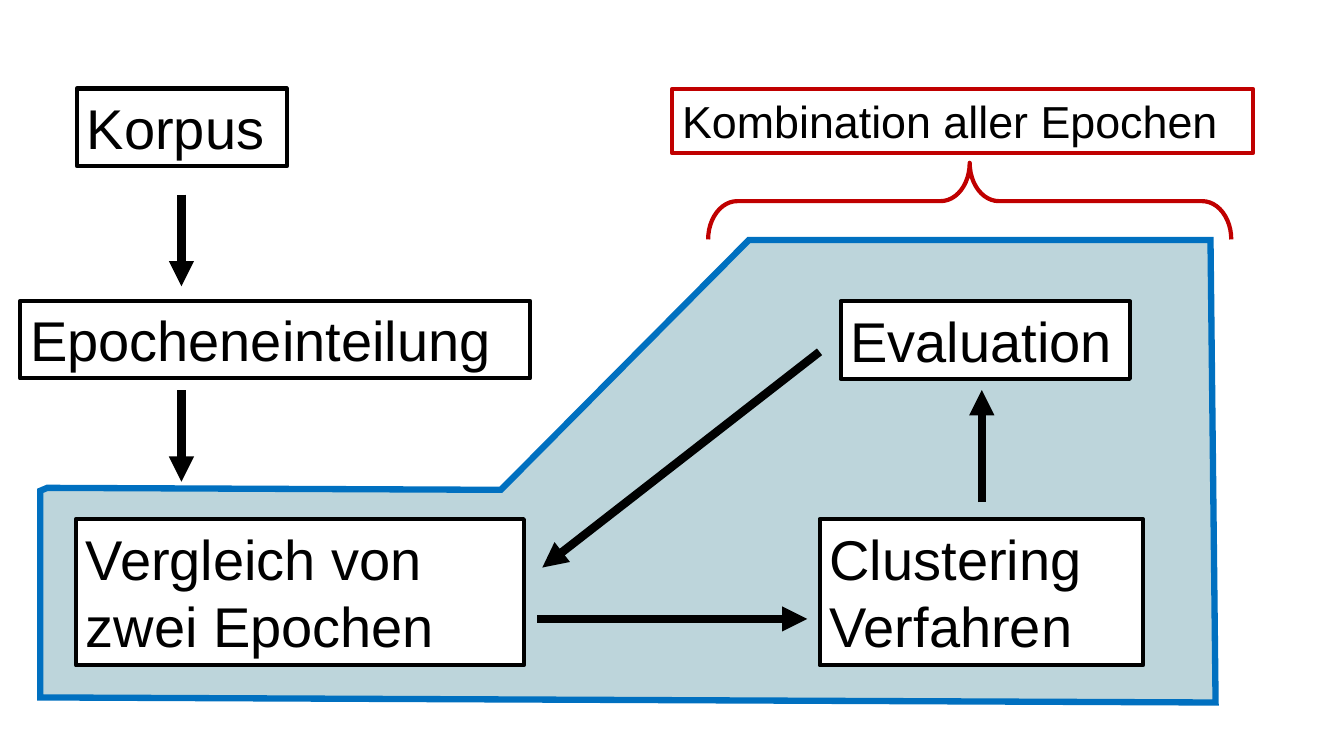
import pptx
import pptx.dml.color
import pptx.enum.shapes
import pptx.enum.text
import pptx.oxml.ns
import pptx.oxml.xmlchemy
import pptx.util
import lxml.etree

Pt = pptx.util.Pt
COLORS = {"ink": "000000", "paper": "FFFFFF", "cycle": "BDD5DB",
          "cycle_edge": "0070C0", "accent": "C00000"}


def rgb(name):
    return pptx.dml.color.RGBColor.from_string(COLORS[name])


def add_xml(parent, tag, **attributes):
    return lxml.etree.SubElement(parent, pptx.oxml.ns.qn(tag), attributes)


def write_text(frame, text, *, size=40, color="ink", font="Arial"):
    """Write one paragraph per line of text."""
    frame.word_wrap = True
    frame.auto_size = pptx.enum.text.MSO_AUTO_SIZE.SHAPE_TO_FIT_TEXT
    frame.text = text
    for paragraph in frame.paragraphs:
        paragraph.font.size = Pt(size)
        paragraph.font.name = font
        paragraph.font.color.rgb = rgb(color)


class Diagram:
    """Draws the diagram parts; all lengths are in points."""

    def __init__(self, slide, edge_width=3, arrow_width=6):
        self.shapes = slide.shapes
        self.edge_width = edge_width
        self.arrow_width = arrow_width

    def outline(self, part, color, width):
        part.line.color.rgb = rgb(color)
        part.line.width = Pt(width)

    def box(self, text, left, top, width, height, edge="ink", fill=None, **text_format):
        step = self.shapes.add_textbox(Pt(left), Pt(top), Pt(width), Pt(height))
        if fill:
            step.fill.solid()
            step.fill.fore_color.rgb = rgb(fill)
        self.outline(step, edge, self.edge_width)
        write_text(step.text_frame, text, **text_format)

    def arrow(self, x1, y1, x2, y2):
        arrow = self.shapes.add_connector(
            pptx.enum.shapes.MSO_CONNECTOR.STRAIGHT, Pt(x1), Pt(y1), Pt(x2), Pt(y2))
        self.outline(arrow, "ink", self.arrow_width)
        add_xml(arrow.line._get_or_add_ln(), "a:tailEnd", type="triangle")
        add_xml(arrow._element.spPr, "a:effectLst")

    def area(self, corners, fill, edge, width):
        points = [(Pt(x), Pt(y)) for x, y in corners]
        builder = self.shapes.build_freeform(*points[0])
        builder.add_line_segments(points[1:], close=True)
        area = builder.convert_to_shape()
        area.shadow.inherit = False
        area.fill.solid()
        area.fill.fore_color.rgb = rgb(fill)
        self.outline(area, edge, width)
        add_xml(area.line._get_or_add_ln(), "a:miter", lim="800000")

    def brace_above(self, left, top, width, height, curve):
        # A right brace turned upright keeps its centre.
        center_x, center_y = left + width / 2, top + height / 2
        brace = self.shapes.add_shape(
            pptx.enum.shapes.MSO_SHAPE.RIGHT_BRACE,
            Pt(center_x - height / 2), Pt(center_y - width / 2), Pt(height), Pt(width))
        brace.rotation = 270
        brace.adjustments[0] = curve
        brace.shadow.inherit = False
        brace.fill.background()
        self.outline(brace, "accent", self.edge_width)


def main():
    presentation = pptx.Presentation()
    presentation.slide_width, presentation.slide_height = Pt(960), Pt(540)
    diagram = Diagram(presentation.slides.add_slide(presentation.slide_layouts[6]))

    # Area of the repeated cycle
    diagram.area([(28.8, 350.6), (28.8, 498.2), (868.3, 501.8), (864.7, 171.4),
                  (535, 171.4), (357.8, 349.9), (33.8, 348.5)],
                 "cycle", "cycle_edge", 4.5)

    # Preparation steps
    one_line, two_lines = 55.4, 104.4
    diagram.box("Korpus", 55, 63.3, 150, one_line)
    diagram.box("Epocheneinteilung", 14.4, 214.9, 364.3, one_line)

    # Cycle steps
    diagram.box("Vergleich von zwei Epochen", 54.2, 370.8, 320, two_lines, fill="paper")
    diagram.box("Clustering\nVerfahren", 585.5, 370.8, 231, two_lines, fill="paper")
    diagram.box("Evaluation", 600.5, 215.3, 206.6, one_line, fill="paper")

    # Arrows between the steps
    for start in (139, 278.6):
        diagram.arrow(129.6, start, 129.6, start + 65.5)
    diagram.arrow(383.8, 442.1, 576.7, 442.1)
    diagram.arrow(701.3, 358.6, 701.3, 278.6)
    diagram.arrow(585.4, 251.3, 387.4, 405.4)

    # Combination of all epochs
    diagram.brace_above(505.8, 116.3, 373.7, 54.7, curve=0.38)
    diagram.box("Kombination aller Epochen", 480.2, 63.4, 414.7, 46,
                edge="accent", size=32)

    presentation.save("out.pptx")


if __name__ == "__main__":
    main()
